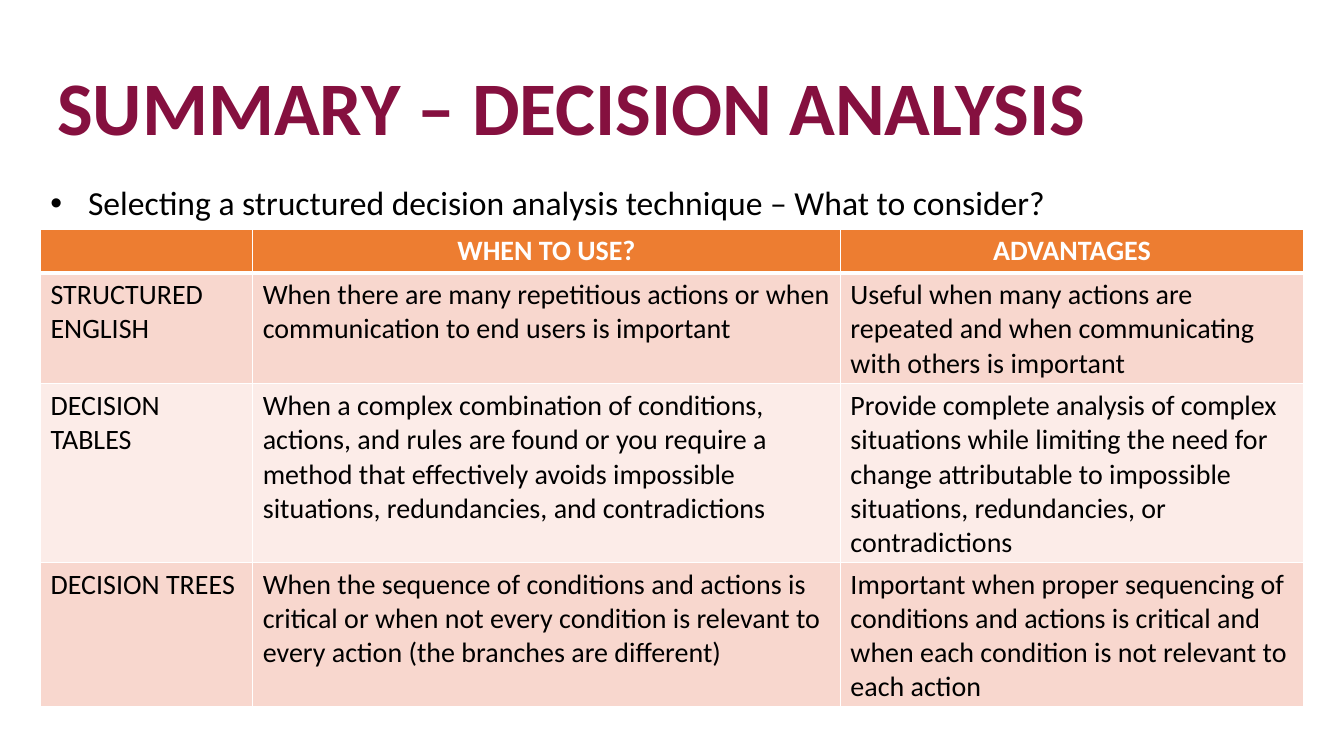
from lxml import etree
from pptx import Presentation
from pptx.dml.color import RGBColor
from pptx.enum.text import MSO_ANCHOR, MSO_AUTO_SIZE, PP_ALIGN
from pptx.oxml.ns import qn
from pptx.util import Cm, Pt

TOP = MSO_ANCHOR.TOP
GROW = MSO_AUTO_SIZE.SHAPE_TO_FIT_TEXT
LEFT, CENTER = PP_ALIGN.LEFT, PP_ALIGN.CENTER

FONT = "Calibri"
COLORS = {
    "title": "85103F",
    "text": "000000",
    "white": "FFFFFF",
    "header": "ED7D31",
    "odd": "F8D7CE",
    "even": "FCECE8",
}


def style(para, size, color, bold=False):
    for span in para.runs:
        span.font.name = FONT
        span.font.size = Pt(size)
        span.font.bold = bold
        span.font.color.rgb = RGBColor.from_string(COLORS[color])


def add_border(cell, side, width):
    line = etree.SubElement(cell._tc.get_or_add_tcPr(), qn(f"a:ln{side}"), w=str(Pt(width)))
    fill = etree.SubElement(line, qn("a:solidFill"))
    etree.SubElement(fill, qn("a:srgbClr"), val=COLORS["white"])


deck = Presentation()
deck.slide_width = Cm(33.87)
deck.slide_height = Cm(19.05)
page = deck.slides.add_slide(deck.slide_layouts[6])

title = page.shapes.add_textbox(Cm(1.19), Cm(1.65), Cm(32.68), Cm(2.69)).text_frame
title.word_wrap = True
title.vertical_anchor = TOP
title.text = "SUMMARY – DECISION ANALYSIS"
title.paragraphs[0].line_spacing = 0.9
style(title.paragraphs[0], 54, "title", True)

question = page.shapes.add_textbox(Cm(1.02), Cm(4.47), Cm(25.83), Cm(1.27)).text_frame
question.word_wrap = False
question.auto_size = GROW
question.text = "Selecting a structured decision analysis technique – What to consider?"
para = question.paragraphs[0]
properties = para._p.get_or_add_pPr()
properties.set("marL", str(Cm(0.95)))
properties.set("indent", str(-Cm(0.95)))
etree.SubElement(properties, qn("a:buFont"), typeface="Arial")
etree.SubElement(properties, qn("a:buChar"), char="•")
style(para, 24, "text")

ROWS = [
    ["", "WHEN TO USE?", "ADVANTAGES"],
    [
        "STRUCTURED ENGLISH",
        "When there are many repetitious actions or when communication to end users is important",
        "Useful when many actions are repeated and when communicating with others is important",
    ],
    [
        "DECISION TABLES",
        "When a complex combination of conditions, actions, and rules are found or you require "
        "a method that effectively avoids impossible situations, redundancies, and contradictions",
        "Provide complete analysis of complex situations while limiting the need for change "
        "attributable to impossible situations, redundancies, or contradictions",
    ],
    [
        "DECISION TREES",
        "When the sequence of conditions and actions is critical or when not every condition "
        "is relevant to every action (the branches are different)",
        "Important when proper sequencing of conditions and actions is critical and when each "
        "condition is not relevant to each action",
    ],
]
WIDTHS = [5.35, 14.81, 11.67]
HEIGHTS = [1.06, 2.8, 4.5, 3.64]

table = page.shapes.add_table(
    len(ROWS), len(WIDTHS), Cm(1.02), Cm(5.77), Cm(sum(WIDTHS)), Cm(sum(HEIGHTS))
).table
for column, width in zip(table.columns, WIDTHS):
    column.width = Cm(width)
for row, height in zip(table.rows, HEIGHTS):
    row.height = Cm(height)

for row_index, texts in enumerate(ROWS):
    is_header = row_index == 0
    fill_name = "header" if is_header else "odd" if row_index % 2 else "even"
    for column_index, text in enumerate(texts):
        cell = table.cell(row_index, column_index)
        cell.text = text
        para = cell.text_frame.paragraphs[0]
        para.alignment = CENTER if is_header else LEFT
        style(para, 20, "white" if is_header else "text", is_header)
        add_border(cell, "L", 1)
        add_border(cell, "R", 1)
        add_border(cell, "T", 3 if row_index == 1 else 1)
        add_border(cell, "B", 3 if is_header else 1)
        cell.fill.solid()
        cell.fill.fore_color.rgb = RGBColor.from_string(COLORS[fill_name])

deck.save("out.pptx")
